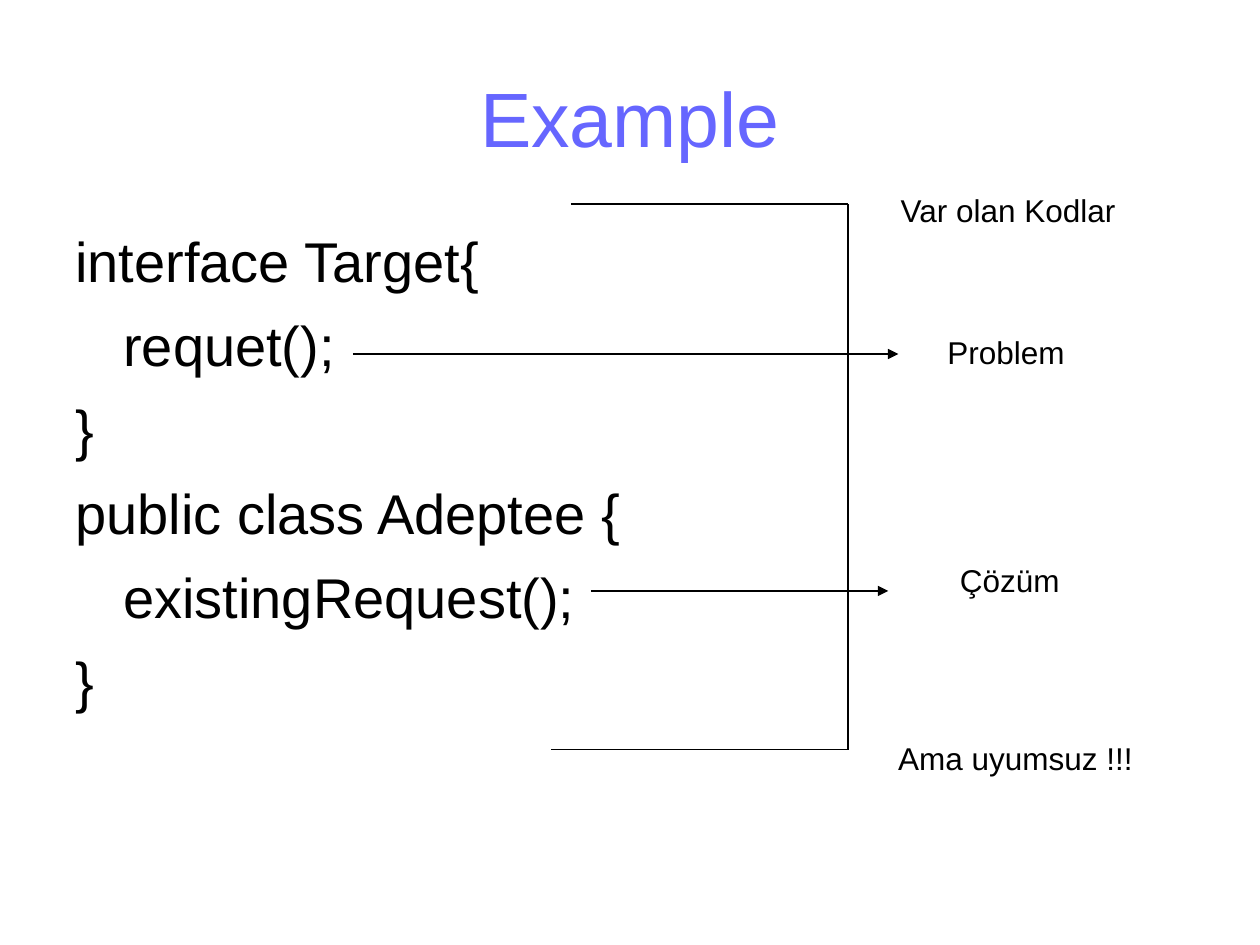
from lxml import etree
from pptx import Presentation
from pptx import util as u
from pptx.dml.color import RGBColor
from pptx.enum import shapes, text
from pptx.oxml.ns import qn

# Content
TITLE = "Example"
CODE = [  # (indent level, line)
    (0, "interface Target{"),
    (1, "requet();"),
    (0, "}"),
    (0, "public class Adeptee {"),
    (1, "existingRequest();"),
    (0, "}"),
]
NOTES = [  # (text, left, top, width)
    ("Var olan Kodlar", 7.05, 1.47, 1.92),
    ("Problem", 7.42, 2.59, 1.13),
    ("Çözüm", 7.52, 4.4, 0.99),
    ("Ama uyumsuz !!!", 7.03, 5.82, 2.06),
]

# Theme and layout, in inches and points
THEME = dict(font="Arial", title=RGBColor(0x66, 0x66, 0xFF), ink=RGBColor(0, 0, 0),
             title_size=44, code_size=32, note_size=18, line=0.75)
WIDTH, HEIGHT = 10, 7.5
MARGIN = WIDTH / 20
COLUMN = WIDTH - 2 * MARGIN
INDENT = 0.38
NOTE_HEIGHT = 0.4
BRACKET_X, BRACKET_TOP, BRACKET_BOTTOM = 6.73, 1.62, 5.95
BRACKET = [(4.53, BRACKET_TOP), (BRACKET_X, BRACKET_TOP),
           (BRACKET_X, BRACKET_BOTTOM), (4.37, BRACKET_BOTTOM)]
ARROWS = [(2.8, 7.13, 2.81), (4.69, 7.05, 4.69)]  # (start x, end x, y)


def apply(target, **values):
    for name, value in values.items():
        setattr(target, name, value)


def add_text(slide, box, lines, size, color, wrap=True, frame_format=None, **paragraph_format):
    frame = slide.shapes.add_textbox(*map(u.Inches, box)).text_frame
    apply(frame, word_wrap=wrap, **(frame_format or {}))
    for i, (level, line) in enumerate(lines):
        paragraph = frame.paragraphs[0] if i == 0 else frame.add_paragraph()
        apply(paragraph, **paragraph_format)
        if level:
            paragraph._p.get_or_add_pPr().set("marL", str(u.Inches(level * INDENT)))
        run = paragraph.add_run()
        run.text = line
        apply(run.font, name=THEME["font"], size=u.Pt(size))
        run.font.color.rgb = color


def add_line(slide, start, end, arrow=False):
    line = slide.shapes.add_connector(shapes.MSO_CONNECTOR.STRAIGHT,
                                      *map(u.Inches, (*start, *end)))
    line.line.width = u.Pt(THEME["line"])
    line.line.color.rgb = THEME["ink"]
    if arrow:
        etree.SubElement(line.line._get_or_add_ln(), qn("a:tailEnd"), type="triangle")
    etree.SubElement(line._element.spPr, qn("a:effectLst"))


def main():
    deck = Presentation()
    apply(deck, slide_width=u.Inches(WIDTH), slide_height=u.Inches(HEIGHT))
    slide = deck.slides.add_slide(deck.slide_layouts[6])

    # Title and code
    add_text(slide, (MARGIN, 0.3, COLUMN, 1.25), [(0, TITLE)],
             THEME["title_size"], THEME["title"],
             frame_format=dict(vertical_anchor=text.MSO_ANCHOR.MIDDLE),
             alignment=text.PP_ALIGN.CENTER)
    add_text(slide, (MARGIN, 1.75, COLUMN, 4.95), CODE,
             THEME["code_size"], THEME["ink"], space_before=u.Pt(9.6))

    # Bracket around the code, arrows to the notes
    for start, end in zip(BRACKET, BRACKET[1:]):
        add_line(slide, start, end)
    for left, right, y in ARROWS:
        add_line(slide, (left, y), (right, y), arrow=True)

    # Notes
    for note, left, top, width in NOTES:
        add_text(slide, (left, top, width, NOTE_HEIGHT), [(0, note)],
                 THEME["note_size"], THEME["ink"], wrap=False,
                 frame_format=dict(auto_size=text.MSO_AUTO_SIZE.SHAPE_TO_FIT_TEXT))

    deck.save("out.pptx")


if __name__ == "__main__":
    main()
